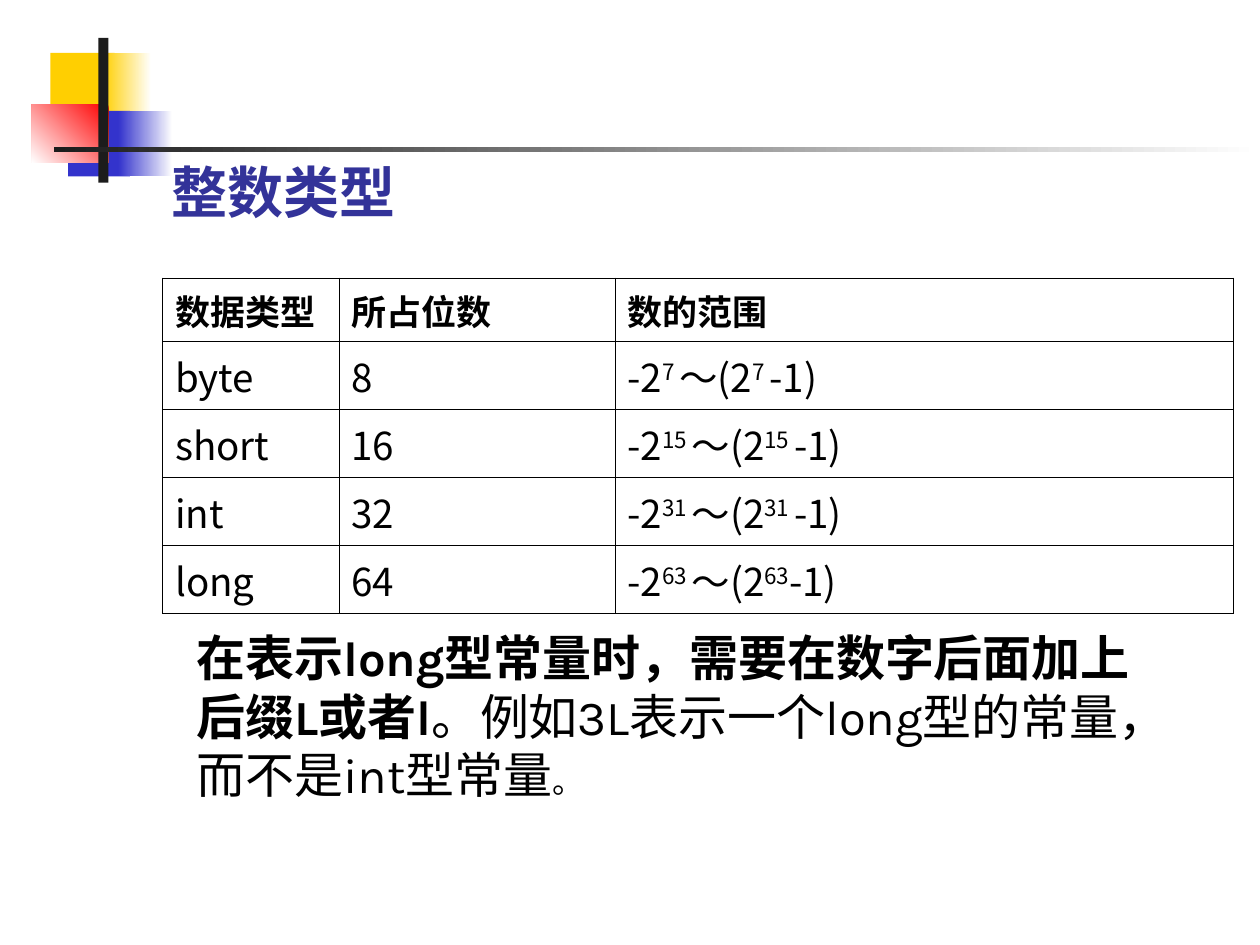
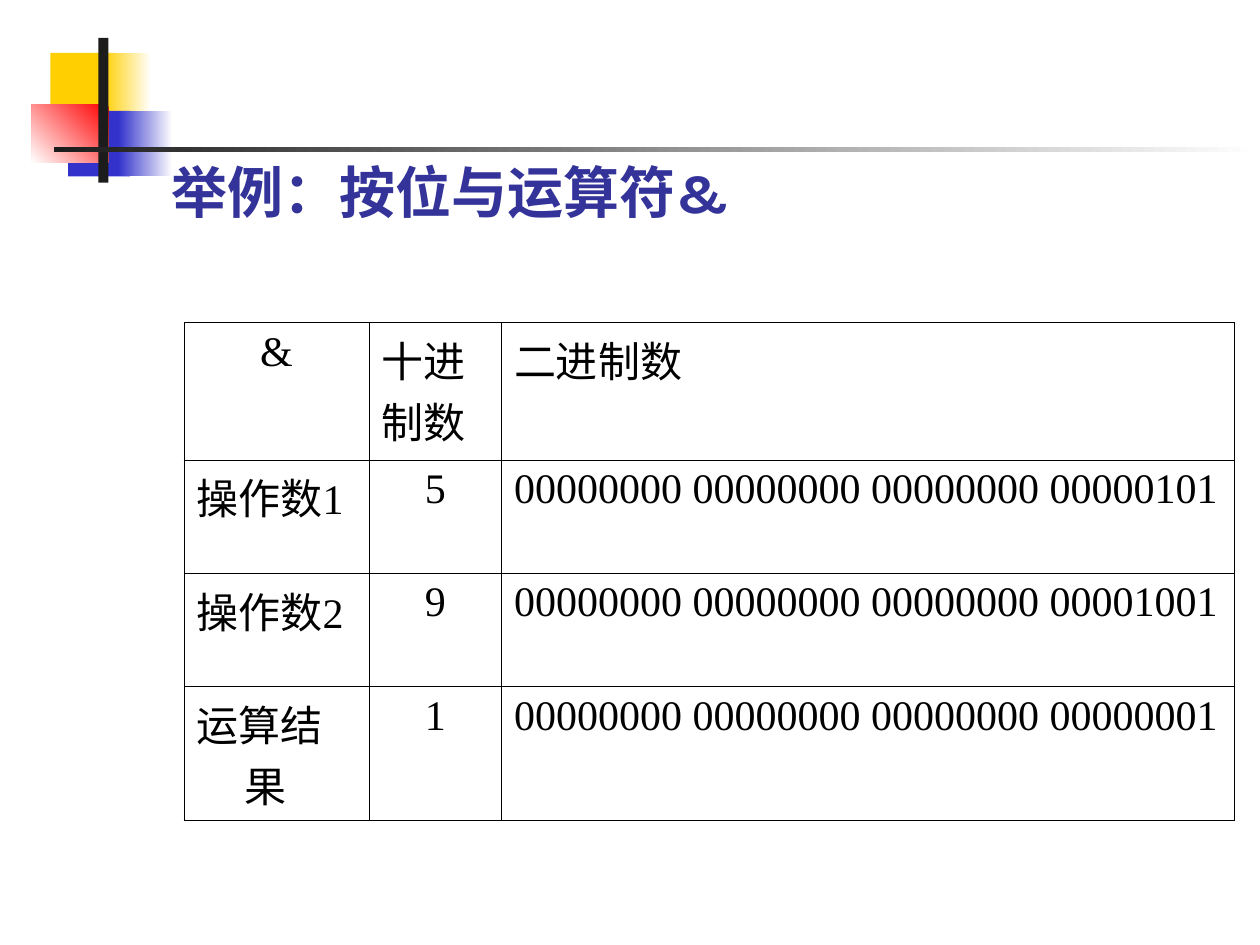
from lxml import etree
from pptx import Presentation
from pptx import util as u
from pptx.dml.color import RGBColor
from pptx.enum import shapes, text
from pptx.oxml.ns import qn

HUES = {"gold": "FFCF01", "blue": "3333CC", "red": "FF0000", "dark": "1C1C1C",
        "white": "FFFFFF", "title": "333399", "black": "000000"}
SANS, SERIF, HAN = "Karla", "Times New Roman", "Noto Sans CJK SC"

HEAD = {"name": SANS, "size": 32, "bold": True, "color": "title"}
NOTE = {"name": SANS, "size": 28, "bold": False, "color": "black"}
TOP = {"name": SERIF, "size": 20, "bold": True, "color": "black"}
TYPE = {"name": HAN, "size": 22, "bold": False, "color": "black"}
BITS = {"name": SERIF, "size": 24, "bold": False, "color": "black"}

# Left, top, width, height, colours and gradient angle
DECOR = [
    (0.4, 0.42, 0.51, 0.52, ["gold"], 0),
    (0.82, 0.42, 0.38, 0.52, ["white", "gold"], 180),
    (0.54, 0.88, 0.49, 0.52, ["blue"], 0),
    (0.94, 0.88, 0.43, 0.52, ["white", "blue"], 180),
    (0.25, 0.83, 0.61, 0.46, ["red", "white"], 225),
    (0.78, 0.3, 0.08, 1.15, ["dark"], 0),
    (0.43, 1.17, 9.57, 0.04, ["white", "dark"], 180),
]


def rgb(hue):
    return RGBColor.from_string(HUES[hue])


def add_run(para, words, style, sup=False):
    run = para.add_run()
    run.text = words
    values = dict(style, size=u.Pt(style["size"]))
    run.font.color.rgb = rgb(values.pop("color"))
    for key, value in values.items():
        setattr(run.font, key, value)
    props = run._r.get_or_add_rPr()
    # Serif text takes its Chinese glyphs from the Han font
    face = HAN if style["name"] == SERIF else style["name"]
    etree.SubElement(props, qn("a:ea"), typeface=face)
    if sup:
        props.set("baseline", "30000")


def add_block(slide, left, top, width, height, hues, angle):
    box = slide.shapes.add_shape(shapes.MSO_SHAPE.RECTANGLE, *map(u.Inches, (left, top, width, height)))
    box.shadow.inherit = False
    box.line.fill.background()
    if len(hues) == 1:
        box.fill.solid()
        box.fill.fore_color.rgb = rgb(hues[0])
        return
    box.fill.gradient()
    box.fill.gradient_angle = angle
    for stop, hue, place in zip(box.fill.gradient_stops, hues, (0, 1)):
        stop.color.rgb = rgb(hue)
        stop.position = place


def add_text(slide, left, top, width, height, runs, anchor=text.MSO_ANCHOR.TOP):
    box = slide.shapes.add_textbox(*map(u.Inches, (left, top, width, height)))
    frame = box.text_frame
    frame.word_wrap = True
    frame.vertical_anchor = anchor
    for words, style in runs:
        add_run(frame.paragraphs[0], words, style)


def add_page(deck, title):
    slide = deck.slides.add_slide(deck.slide_layouts[6])
    for block in DECOR:
        add_block(slide, *block)
    add_text(slide, 1.26, 0.23, 8.52, 1.6, [(title, HEAD)], text.MSO_ANCHOR.BOTTOM)
    return slide


def set_edges(cell, widths):
    """Draw the left, right, top and bottom borders of a cell."""
    props = cell._tc.get_or_add_tcPr()
    for spot, (side, width) in enumerate(zip("LRTB", widths)):
        line = etree.Element(qn(f"a:ln{side}"), w=str(u.Pt(width)))
        fill = etree.SubElement(line, qn("a:solidFill"))
        etree.SubElement(fill, qn("a:srgbClr"), val=HUES["black"])
        props.insert(spot, line)


def fill_cell(cell, words, style, hang=True, center=False):
    """Write a cell; parts between carets are superscript."""
    para = cell.text_frame.paragraphs[0]
    if hang:
        props = para._p.get_or_add_pPr()
        props.set("marL", str(u.Inches(0.38)))
        props.set("indent", str(u.Inches(-0.38)))
    para.alignment = text.PP_ALIGN.CENTER if center else text.PP_ALIGN.LEFT
    for spot, part in enumerate(words.split("^")):
        add_run(para, part, style, sup=spot % 2 == 1)


def add_grid(slide, left, top, cols, highs, rows, top_style, style, edge=0.45, flat=(), mid=()):
    """Add a table; flat cells have no hanging indent, mid cells are centred."""
    area = map(u.Inches, (left, top, sum(cols), sum(highs)))
    grid = slide.shapes.add_table(len(rows), len(cols), *area).table
    grid.first_row = grid.horz_banding = False
    for col, width in zip(grid.columns, cols):
        col.width = u.Inches(width)
    for row, high in zip(grid.rows, highs):
        row.height = u.Inches(high)
    for r, row in enumerate(rows):
        for c, words in enumerate(row):
            cell = grid.cell(r, c)
            cell.fill.background()
            upper = edge if r == 0 else 0.45
            lower = edge if r == len(rows) - 1 else 0.45
            set_edges(cell, (0.45, 0.45, upper, lower))
            look = style if r else top_style
            fill_cell(cell, words, look, words not in flat, words in mid)


def main():
    deck = Presentation()
    deck.slide_width, deck.slide_height = u.Inches(10), u.Inches(7.5)

    # Integer types
    slide = add_page(deck, "整数类型")
    types = [
        ("数据类型", "所占位数", "数的范围"),
        ("byte", "8", "-2^7 ^～(2^7 ^-1)"),
        ("short", "16", "-2^15 ^～(2^15 ^-1)"),
        ("int", "32", "-2^31 ^～(2^31 ^-1)"),
        ("long", "64", "-2^63 ^～(2^63^-1)"),
    ]
    add_grid(slide, 1.29, 2.21, (1.4, 2.19, 4.91), [0.5] + [0.54] * 4, types, TOP, TYPE, edge=0.96)
    add_text(slide, 1.46, 4.93, 7.72, 1.5, [
        ("在表示long型常量时，需要在数字后面加上后缀L或者l", dict(NOTE, bold=True)),
        ("。例如3L表示一个long型的常量，而不是int型常量", NOTE),
        ("。", dict(NOTE, size=18)),
    ])

    # Bitwise and
    slide = add_page(deck, "举例：按位与运算符&")
    zeros = "00000000 " * 3
    sums = [
        ("&", "十进制数", "二进制数"),
        ("操作数1", "5", zeros + "00000101"),
        ("操作数2", "9", zeros + "00001001"),
        ("运算结果", "1", zeros + "00000001"),
    ]
    add_grid(slide, 1.46, 2.56, (1.47, 1.05, 5.82), (1.09, 0.9, 0.9, 1.06), sums, BITS, BITS,
             flat=("十进制数",), mid=("&", "5", "9", "1"))

    deck.save("out.pptx")


if __name__ == "__main__":
    main()
